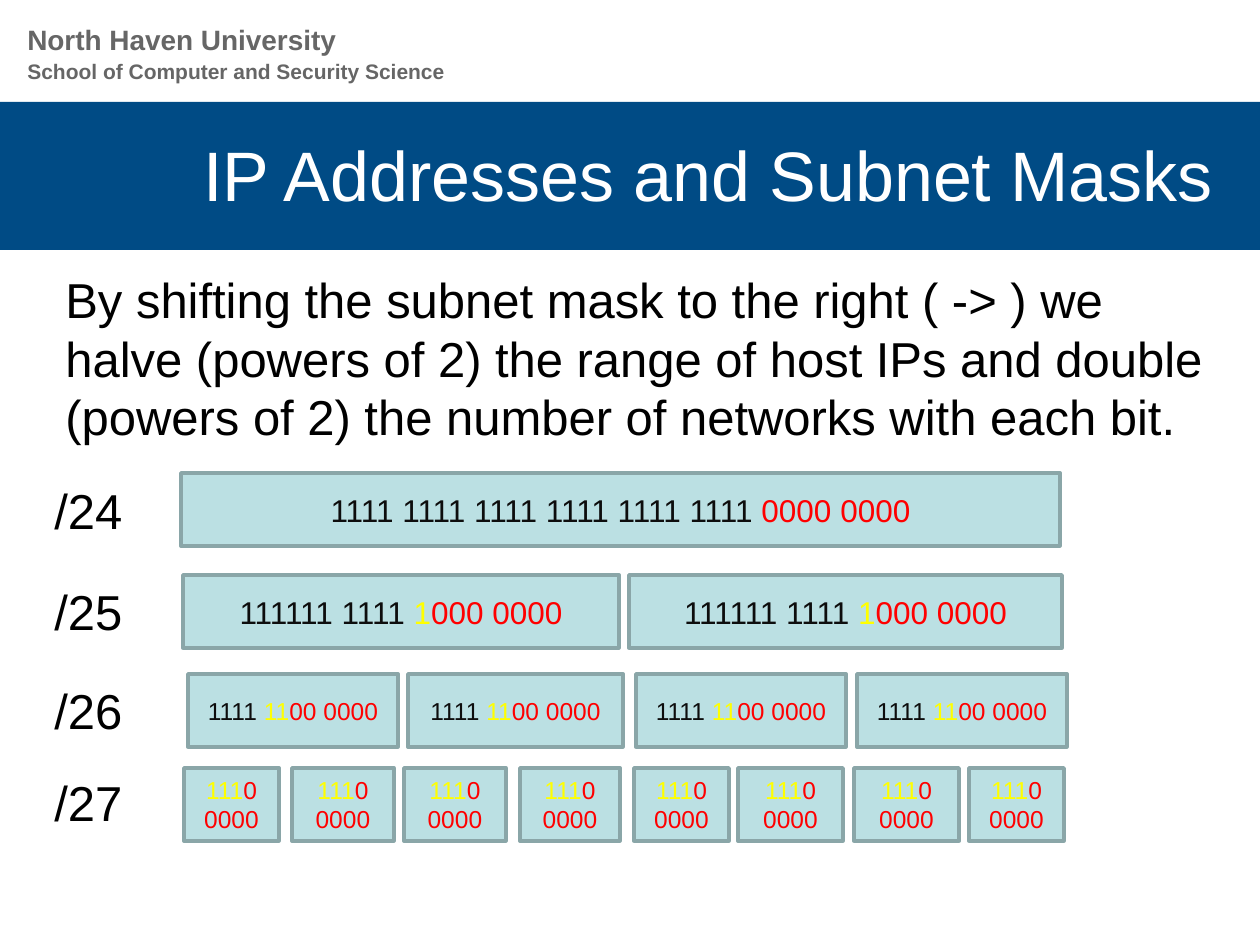
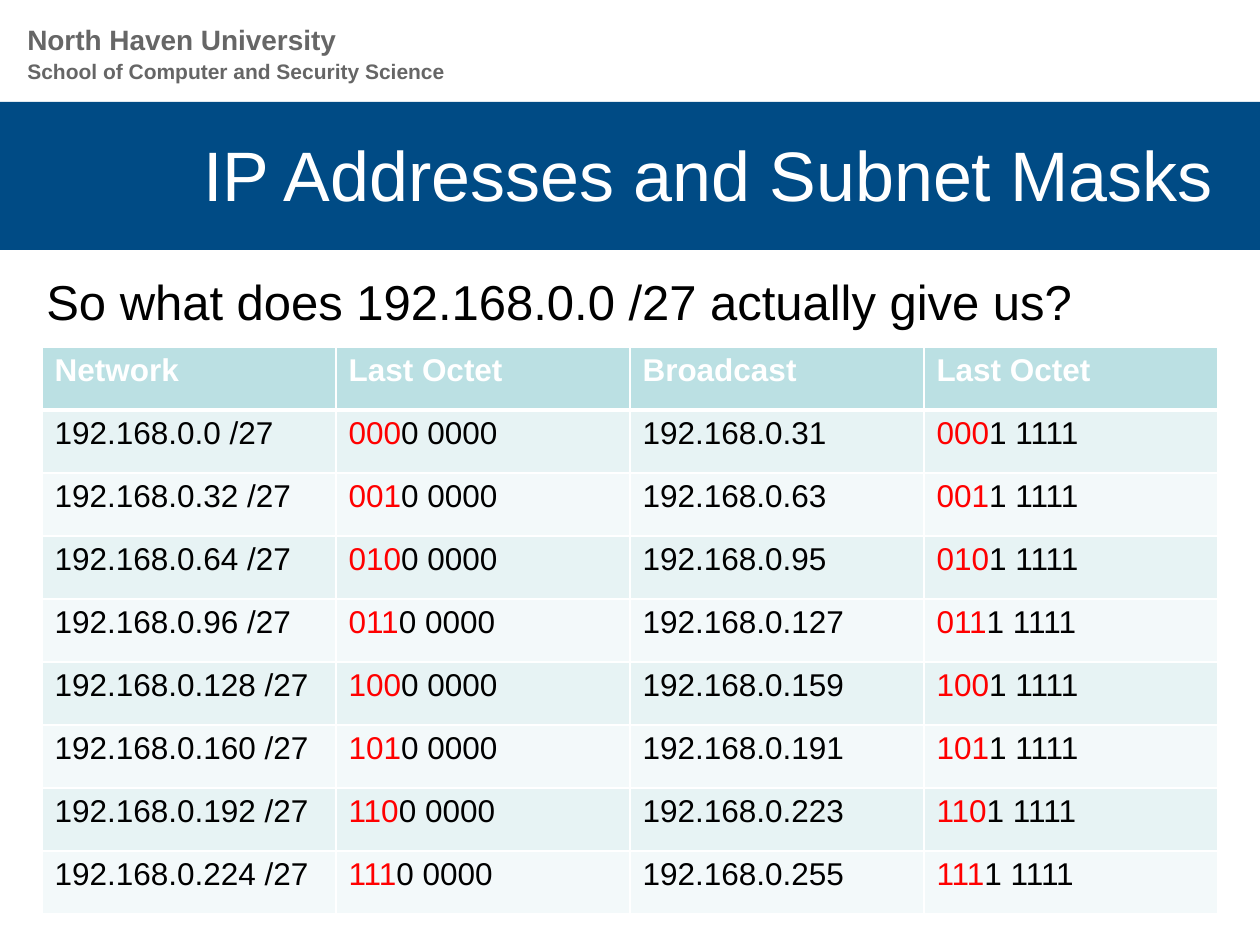
from dataclasses import dataclass

from lxml import etree
from pptx import Presentation
from pptx.dml.color import RGBColor
from pptx.enum.shapes import MSO_SHAPE
from pptx.enum.text import MSO_ANCHOR, PP_ALIGN
from pptx.oxml.ns import qn
from pptx.util import Emu, Pt

RECTANGLE = MSO_SHAPE.RECTANGLE
LEFT, CENTER, RIGHT = PP_ALIGN.LEFT, PP_ALIGN.CENTER, PP_ALIGN.RIGHT
TOP, MIDDLE = MSO_ANCHOR.TOP, MSO_ANCHOR.MIDDLE

EMU_PER_PX = 914400 / 126
SLIDE_W, SLIDE_H = 1260, 945


@dataclass(frozen=True)
class Theme:
    font: str = "Arial"
    band: str = "004B85"
    white: str = "FFFFFF"
    grey: str = "666666"
    black: str = "000000"
    ink: str = "0D0D0D"
    host: str = "FF0000"
    borrowed: str = "FFFF00"
    accent: str = "BBE0E3"
    outline: str = "8AA6A8"
    stripes: tuple = ("E7F3F4", "F3F9FA")
    title: int = 40
    body: int = 28
    table: int = 18
    mask: int = 18
    small_mask: int = 14
    university: int = 16
    school: int = 12


THEME = Theme()

HEADING = "IP Addresses and Subnet Masks"
SHIFTING = (
    "By shifting the subnet mask to the right ( -> ) we halve (powers of 2) "
    "the range of host IPs and double (powers of 2) the number of networks "
    "with each bit."
)
QUESTION = "So what does 192.168.0.0 /27 actually give us?"

# Each row: prefix, top, label top, text size, (left, width) of bars, mask runs
MASK_ROWS = [
    ("/24", 473, 474, THEME.mask, [(181, 879)],
     [("1111 1111 1111 1111 1111 1111 ", THEME.ink), ("0000 0000", THEME.host)]),
    ("/25", 575, 575, THEME.mask, [(183, 436), (629, 433)],
     [("111111 1111 ", THEME.ink), ("1", THEME.borrowed), ("000 0000", THEME.host)]),
    ("/26", 674, 674, THEME.small_mask,
     [(188, 210), (408, 215), (636, 210), (857, 210)],
     [("1111 ", THEME.ink), ("11", THEME.borrowed), ("00 0000", THEME.host)]),
    ("/27", 768, 766, THEME.small_mask,
     [(184, 95), (292, 102), (404, 102), (520, 100),
      (634, 95), (738, 105), (854, 105), (969, 95)],
     [("111", THEME.borrowed), ("0 0000", THEME.host)]),
]
BAR_H = 73

TABLE_HEADS = ["Network", "Last Octet", "Broadcast", "Last Octet"]
SUBNET_COUNT, SUBNET_SIZE = 8, 32


def px(length):
    return Emu(round(length * EMU_PER_PX))


def place(box):
    return [px(length) for length in box]


def rgb(colour):
    return RGBColor.from_string(colour)


def write(frame, runs, size, bold=False, align=LEFT, anchor=TOP):
    """Fill a text frame with one paragraph of (text, colour) runs."""
    frame.word_wrap = True
    frame.vertical_anchor = anchor
    paragraph = frame.paragraphs[0]
    paragraph.alignment = align
    for text, colour in runs:
        run = paragraph.add_run()
        run.text = text
        run.font.name = THEME.font
        run.font.size = Pt(size)
        run.font.bold = bold
        run.font.color.rgb = rgb(colour)


def add_text(slide, box, text, size, colour=THEME.black, **style):
    label = slide.shapes.add_textbox(*place(box))
    write(label.text_frame, [(text, colour)], size, **style)


def add_rectangle(slide, box, fill, outline=None):
    rectangle = slide.shapes.add_shape(RECTANGLE, *place(box))
    rectangle.shadow.inherit = False
    rectangle.fill.solid()
    rectangle.fill.fore_color.rgb = rgb(fill)
    if outline:
        rectangle.line.color.rgb = rgb(outline)
        rectangle.line.width = Pt(2)
    else:
        rectangle.line.fill.background()
    return rectangle


def add_frame(prs):
    """A new slide with the institution lines, the band and its title."""
    slide = prs.slides.add_slide(prs.slide_layouts[6])
    add_rectangle(slide, (0, 102, SLIDE_W, 148), THEME.band)
    add_text(slide, (15, 52, 742, 38), "School of Computer and Security Science",
             THEME.school, THEME.grey, bold=True)
    add_text(slide, (15, 16, 742, 47), "North Haven University",
             THEME.university, THEME.grey, bold=True)
    add_text(slide, (34, 105, 1191, 137), HEADING, THEME.title, THEME.white,
             align=RIGHT, anchor=MIDDLE)
    return slide


def add_mask_row(slide, row, label_left):
    prefix, top, label_top, size, bars, mask = row
    add_text(slide, (label_left, label_top, 105, 72), prefix, THEME.body)
    for left, width in bars:
        bar = add_rectangle(slide, (left, top, width, BAR_H),
                            THEME.accent, THEME.outline)
        write(bar.text_frame, mask, size, align=CENTER, anchor=MIDDLE)


def set_borders(cell, bottom_width):
    """White cell borders, placed ahead of the fill as the schema asks."""
    properties = cell._tc.get_or_add_tcPr()
    widths = {"a:lnL": 1, "a:lnR": 1, "a:lnT": 1, "a:lnB": bottom_width}
    for position, (side, width) in enumerate(widths.items()):
        border = etree.Element(qn(side), w=str(Pt(width)))
        fill = etree.SubElement(border, qn("a:solidFill"))
        etree.SubElement(fill, qn("a:srgbClr"), val=THEME.white)
        properties.insert(position, border)


def subnet_row(index):
    """Runs of the four cells that describe one /27 network."""
    network = index * SUBNET_SIZE
    broadcast = network + SUBNET_SIZE - 1
    bits = (f"{index:03b}", THEME.host)
    return [
        [(f"192.168.0.{network} /27", THEME.black)],
        [bits, ("0 0000", THEME.black)],
        [(f"192.168.0.{broadcast}", THEME.black)],
        [bits, ("1 1111", THEME.black)],
    ]


def add_subnet_table(slide, box):
    rows = [[[(head, THEME.white)] for head in TABLE_HEADS]]
    rows += [subnet_row(index) for index in range(SUBNET_COUNT)]
    table = slide.shapes.add_table(len(rows), len(TABLE_HEADS), *place(box)).table
    for row_index, row in enumerate(rows):
        is_head = row_index == 0
        fill = THEME.accent if is_head else THEME.stripes[(row_index - 1) % 2]
        for column, runs in enumerate(row):
            cell = table.cell(row_index, column)
            cell.fill.solid()
            cell.fill.fore_color.rgb = rgb(fill)
            write(cell.text_frame, runs, THEME.table, bold=is_head)
            set_borders(cell, 3 if is_head or row_index == 0 else 1)


def build_mask_slide(prs):
    slide = add_frame(prs)
    add_text(slide, (53, 263, 1191, 200), SHIFTING, THEME.body)
    for row in MASK_ROWS:
        add_mask_row(slide, row, label_left=42)


def build_subnet_slide(prs):
    slide = add_frame(prs)
    add_text(slide, (34, 265, 1191, 72), QUESTION, THEME.body)
    add_subnet_table(slide, (42, 347, 1176, 567))


def main():
    prs = Presentation()
    prs.slide_width, prs.slide_height = px(SLIDE_W), px(SLIDE_H)
    build_mask_slide(prs)
    build_subnet_slide(prs)
    prs.save("out.pptx")


if __name__ == "__main__":
    main()
